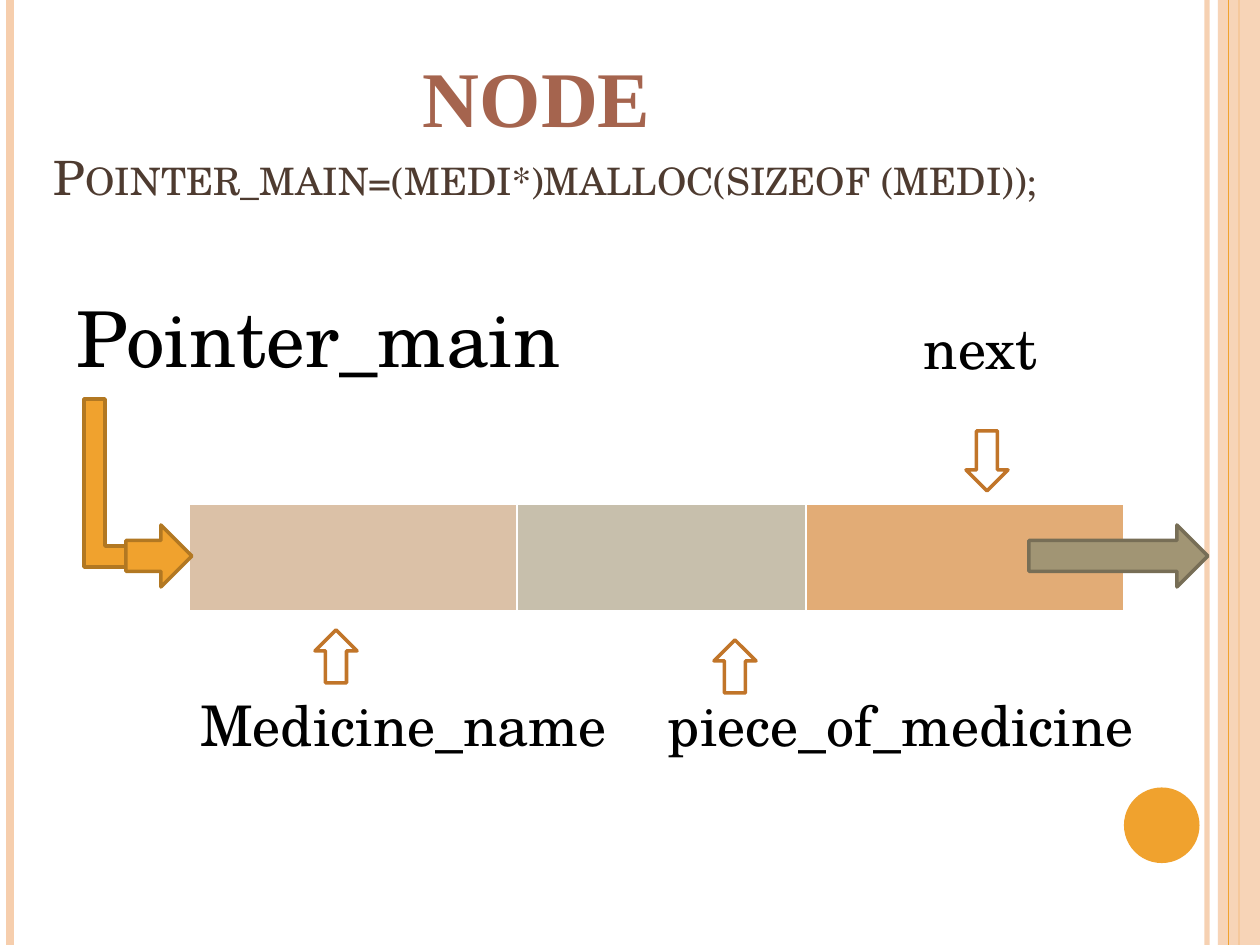
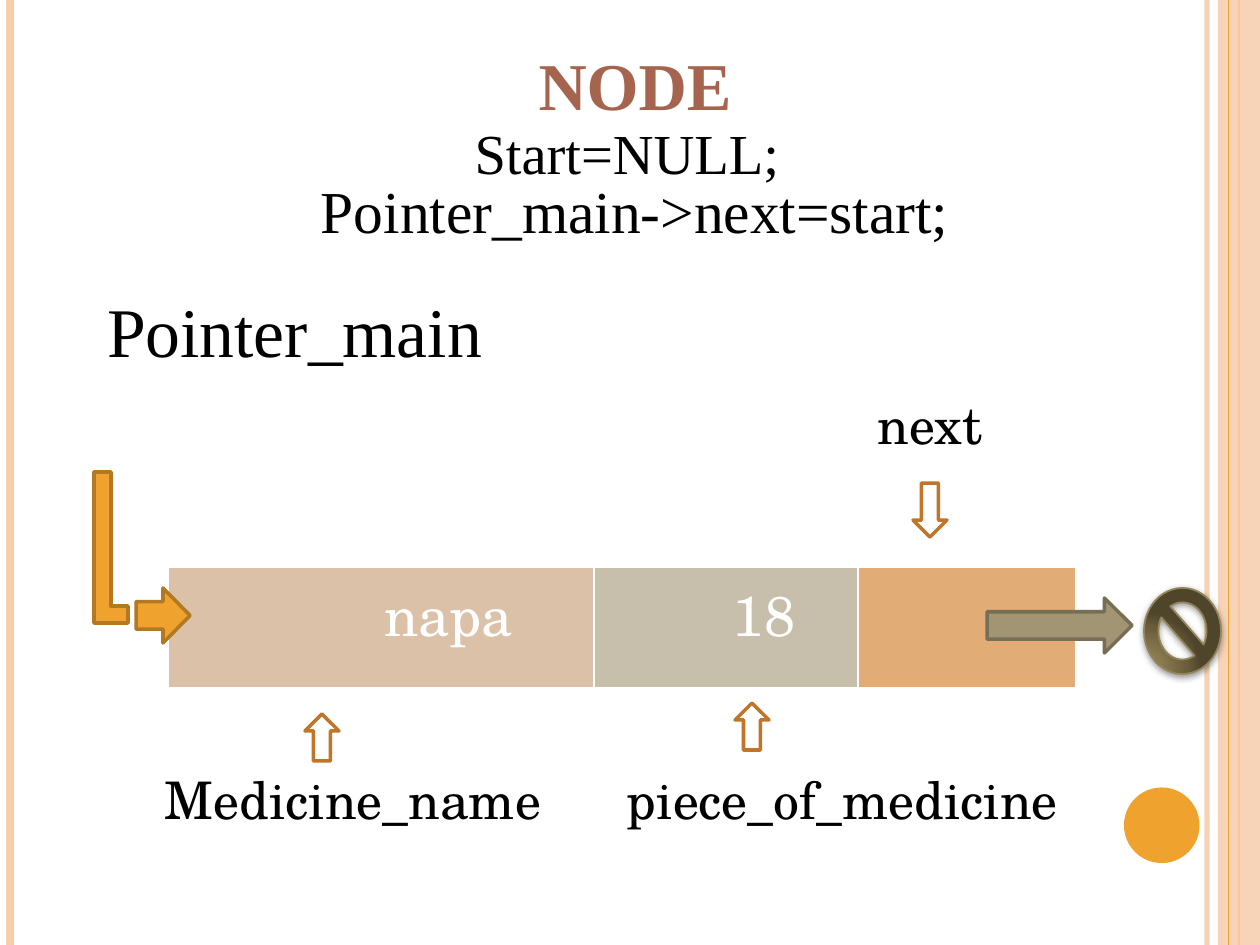
from lxml import etree
from pptx import Presentation
from pptx.dml.color import RGBColor
from pptx.enum.shapes import MSO_CONNECTOR, MSO_SHAPE
from pptx.enum.text import PP_ALIGN
from pptx.oxml import parse_xml
from pptx.oxml.ns import nsdecls, qn
from pptx.util import Emu, Pt

PIXEL = 914400 / 126
POINT = 1.75  # pixels in one point
WIDTH, HEIGHT = 1260, 945
STRAIGHT = MSO_CONNECTOR.STRAIGHT
RECTANGLE, OVAL = MSO_SHAPE.RECTANGLE, MSO_SHAPE.OVAL
CORNER, NO_SIGN = MSO_SHAPE.CORNER, MSO_SHAPE.NO_SYMBOL
RIGHT, UP, DOWN = MSO_SHAPE.RIGHT_ARROW, MSO_SHAPE.UP_ARROW, MSO_SHAPE.DOWN_ARROW
CENTER, LEFT = PP_ALIGN.CENTER, PP_ALIGN.LEFT
SERIF, SCHOLA = "Times New Roman", "TeX Gyre Schola"
ASCENT = {SERIF: 0.89, SCHOLA: 1.125}  # share of the text size

COLORS = {
    "peach": "F6CEAD", "orange": "F0A22E", "orange_edge": "B27822",
    "hollow_edge": "C17529", "olive": "A19574", "olive_edge": "776E56",
    "sign_edge": "94845A", "title": "A5644E", "code": "4E3B30",
    "black": "000000", "white": "FFFFFF",
    "name": "DBC1A7", "pieces": "C7BFAC", "next": "E2AC76",
}
POINTER_STYLE = ("orange", "orange_edge")
HOLLOW_STYLE = ("white", "hollow_edge")
NEXT_STYLE = ("olive", "olive_edge")
SIGN_STOPS = ((0, "907F53"), (30, "8B7B50"), (75, "695D3B"), (100, "4E452B"))


def px(length):
    """Turn pixels into EMU."""
    return Emu(round(length * PIXEL))


def color(name):
    """Look up a colour by name."""
    return RGBColor.from_string(COLORS[name])


def set_alpha(fill_parent, percent):
    """Make the first solid colour below an element partly transparent."""
    tint = next(fill_parent.iter(qn("a:srgbClr")))
    etree.SubElement(tint, qn("a:alpha"), val=str(percent * 1000))


def add_shape(slide, kind, box, fill, edge=None, weight=2):
    """Add a preset shape without shadow; no edge means no outline."""
    shape = slide.shapes.add_shape(kind, *map(px, box))
    shape.shadow.inherit = False
    shape.fill.solid()
    shape.fill.fore_color.rgb = color(fill)
    if edge:
        shape.line.color.rgb = color(edge)
        shape.line.width = Pt(weight)
    else:
        shape.line.fill.background()
    return shape


def add_rule(slide, x, name, weight):
    """Add a vertical line over the full height of the slide."""
    rule = slide.shapes.add_connector(STRAIGHT, px(x), 0, px(x), px(HEIGHT))
    rule.line.color.rgb = color(name)
    rule.line.width = Pt(weight)
    properties = rule._element.spPr
    etree.SubElement(properties, qn("a:effectLst"))
    return properties


def add_frame(slide):
    """Draw the side bands and the disc that all slides share."""
    set_alpha(add_rule(slide, 1207, "peach", 3), 93)
    add_rule(slide, 10, "peach", 4.5)
    add_rule(slide, 1239, "orange", 1.5)
    band = add_shape(slide, RECTANGLE, (1218, 0, 42, HEIGHT), "peach")
    set_alpha(band._element.spPr, 87)
    add_rule(slide, 1228.5, "orange", 0.75)
    add_shape(slide, OVAL, (1124, 787.5, 75.6, 75.6), "orange")


def add_text_frame(slide, box):
    """Add a text box without margins and return its frame."""
    frame = slide.shapes.add_textbox(*map(px, box)).text_frame
    frame.word_wrap = True
    frame.margin_left = frame.margin_right = 0
    frame.margin_top = frame.margin_bottom = 0
    return frame


def style(paragraph, font, size, name, bold=False):
    """Set the font of a paragraph."""
    paragraph.font.name = font
    paragraph.font.size = Pt(size)
    paragraph.font.color.rgb = color(name)
    paragraph.font.bold = bold


def add_title(slide, box, lines):
    """Write title lines: text, font, size, colour, pitch, alignment, indents."""
    frame = add_text_frame(slide, box)
    for index, (text, font, size, name, pitch, align, indents) in enumerate(lines):
        paragraph = frame.add_paragraph() if index else frame.paragraphs[0]
        paragraph.text = text
        paragraph.alignment = align
        paragraph.line_spacing = Pt(pitch)
        style(paragraph, font, size, name, bold=name == "title")
        properties = paragraph._p.get_or_add_pPr()
        for side, indent in zip(("marL", "marR"), indents):
            properties.set(side, str(px(indent)))
        if name == "code":
            paragraph.runs[0].font._element.set("cap", "small")


def add_label(slide, x, baseline, width, text, size, font=SCHOLA):
    """Write one line of text that stands on a baseline."""
    em = size * POINT
    box = (x, baseline - ASCENT[font] * em, width, 1.43 * em)
    paragraph = add_text_frame(slide, box).paragraphs[0]
    paragraph.text = text
    style(paragraph, font, size, "black")


def add_cells(slide, box, widths, values):
    """Add the one-row table of a node; values are (text, left margin)."""
    table = slide.shapes.add_table(1, len(widths), *map(px, box)).table
    table.first_row = table.horz_banding = False
    for index, name in enumerate(("name", "pieces", "next")):
        table.columns[index].width = px(widths[index])
        cell = table.cell(0, index)
        text, margin = values[index]
        if text:
            cell.margin_left = px(margin)
            cell.text = text
            style(cell.text_frame.paragraphs[0], SCHOLA, 32, "white")
        properties = cell._tc.get_or_add_tcPr()
        for side, weight in (("L", 1), ("R", 1), ("T", 1), ("B", 3)):
            properties.append(parse_xml(
                f'<a:ln{side} w="{Pt(weight)}" {nsdecls("a")}><a:solidFill>'
                f'<a:srgbClr val="{COLORS["white"]}"/></a:solidFill></a:ln{side}>'))
        cell.fill.solid()
        cell.fill.fore_color.rgb = color(name)


def add_node(slide, box, widths, values, arrows, labels):
    """Draw a node; arrows and labels are placed from the table's corner."""
    left, top = box[:2]
    for x, baseline, *rest in labels:
        add_label(slide, left + x, top + baseline, *rest)
    add_cells(slide, box, widths, values)
    for kind, (x, y, width, height), colors in arrows:
        add_shape(slide, kind, (left + x, top + y, width, height), *colors)


def add_null_sign(slide, box):
    """Draw the shaded sign that stands for NULL."""
    sign = add_shape(slide, NO_SIGN, box, "olive", "sign_edge", 1)
    properties = sign._element.spPr
    stops = "".join(f'<a:gs pos="{place * 1000}"><a:srgbClr val="{tint}"/></a:gs>'
                    for place, tint in SIGN_STOPS)
    gradient = parse_xml(
        f'<a:gradFill {nsdecls("a")}><a:gsLst>{stops}</a:gsLst><a:path path="circle">'
        '<a:fillToRect l="5000" t="100000" r="120000" b="10000"/></a:path></a:gradFill>')
    properties.replace(properties.find(qn("a:solidFill")), gradient)
    properties.find(qn("a:effectLst")).append(parse_xml(
        f'<a:outerShdw {nsdecls("a")} blurRad="{Pt(4)}" dist="{Pt(1.6)}" dir="5400000" '
        'rotWithShape="0"><a:srgbClr val="000000"><a:alpha val="42000"/></a:srgbClr>'
        '</a:outerShdw>'))


def build_allocation_slide(slide):
    """Slide with the empty node."""
    add_frame(slide)
    add_title(slide, (54, 56, 1132, 150), [
        ("NODE", SERIF, 45, "title", 50, LEFT, (369, 0)),
        ("Pointer_main=(medi*)malloc(sizeof (medi));", SCHOLA, 27, "code", 35,
         LEFT, (0, 0)),
    ])
    add_node(
        slide, (189, 504, 935, 108), (328, 289, 318), [("", 0)] * 3,
        [(CORNER, (-105, -105, 42, 168), POINTER_STYLE),
         (RIGHT, (-63, 21, 66, 62), POINTER_STYLE),
         (UP, (126, 126, 42, 53), HOLLOW_STYLE),
         (DOWN, (777, -73, 42, 60), HOLLOW_STYLE),
         (UP, (525, 136, 42, 53), HOLLOW_STYLE),
         (RIGHT, (840, 21, 179, 62), NEXT_STYLE)],
        [(-112, -127, 560, "Pointer_main", 44),
         (735, -127, 200, "next", 32),
         (11, 250, 450, "Medicine_name", 32),
         (479, 250, 520, "piece_of_medicine", 32)])


def build_null_slide(slide):
    """Slide with the filled node whose next pointer is NULL."""
    add_frame(slide)
    add_title(slide, (73, 63, 1124, 185), [
        ("NODE", SERIF, 38.2, "title", 35, CENTER, (0, 0)),
        ("Start=NULL;", SERIF, 32.3, "black", 35, CENTER, (0, 16)),
        ("Pointer_main->next=start;", SERIF, 34, "black", 34, CENTER, (0, 0)),
    ])
    add_node(
        slide, (168, 567, 908, 122), (426, 264, 218),
        [("napa", 216), ("18", 139), ("", 0)],
        [(CORNER, (-74, -95, 34, 151), POINTER_STYLE),
         (RIGHT, (-32, 21, 54, 55), POINTER_STYLE),
         (UP, (137, 147, 34, 47), HOLLOW_STYLE),
         (DOWN, (745, -84, 34, 54), HOLLOW_STYLE),
         (UP, (567, 136, 34, 47), HOLLOW_STYLE),
         (RIGHT, (819, 31, 145, 55), NEXT_STYLE)],
        [(-61, -217, 450, "Pointer_main", 39.8, SERIF),
         (710, -116, 200, "next", 29.6),
         (-3, 259, 430, "Medicine_name", 29.6),
         (459, 259, 490, "piece_of_medicine", 29.6)])
    add_null_sign(slide, (1144, 588, 77, 86))


presentation = Presentation()
presentation.slide_width, presentation.slide_height = px(WIDTH), px(HEIGHT)
blank = presentation.slide_layouts[6]
for build in (build_allocation_slide, build_null_slide):
    build(presentation.slides.add_slide(blank))
presentation.save("out.pptx")
